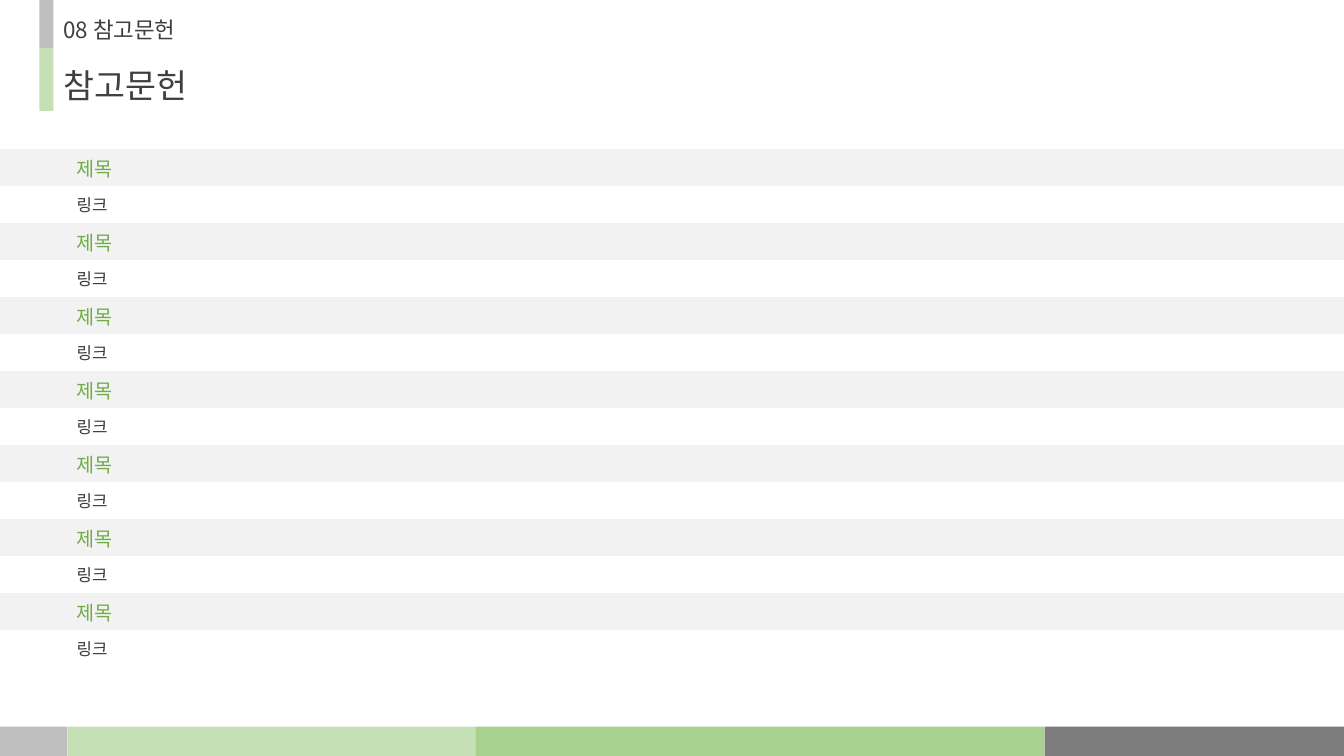
import pptx
import pptx.dml.color
import pptx.enum.shapes
import pptx.enum.text
import pptx.oxml.ns
import pptx.util
from lxml import etree

Inches = pptx.util.Inches
Pt = pptx.util.Pt
RGBColor = pptx.dml.color.RGBColor
MIDDLE = pptx.enum.text.MSO_ANCHOR.MIDDLE
qn = pptx.oxml.ns.qn

PALE_GREEN = RGBColor(0xC5, 0xE0, 0xB4)
MID_GREEN = RGBColor(0xA9, 0xD1, 0x8E)
TITLE_GREEN = RGBColor(0x70, 0xAD, 0x47)
LIGHT_GRAY = RGBColor(0xBF, 0xBF, 0xBF)
DARK_GRAY = RGBColor(0x7C, 0x7C, 0x7C)
BAND_GRAY = RGBColor(0xF2, 0xF2, 0xF2)
HEADING = RGBColor(0x40, 0x40, 0x40)
LINK_TEXT = RGBColor(0x3B, 0x38, 0x38)
FONT = "Noto Sans CJK KR"
NO_GRID_STYLE = "{2D5ABB26-0587-4C30-8999-92F81FD0307C}"
REFERENCE_COUNT = 7


def add_block(slide, left, top, width, height, color):
    block = slide.shapes.add_shape(
        pptx.enum.shapes.MSO_SHAPE.RECTANGLE,
        Inches(left), Inches(top), Inches(width), Inches(height))
    block.shadow.inherit = False
    block.fill.solid()
    block.fill.fore_color.rgb = color
    block.line.fill.background()


def format_runs(paragraph, size, color):
    """Apply the font to Latin and Korean characters alike."""
    paragraph.alignment = pptx.enum.text.PP_ALIGN.LEFT
    for run in paragraph.runs:
        run.font.size = Pt(size)
        run.font.name = FONT
        run.font.color.rgb = color
        east_asian = etree.SubElement(run.font._element, qn("a:ea"))
        east_asian.set("typeface", FONT)


def place_heading(heading, text, left, top, width, height, size):
    heading.left, heading.top = Inches(left), Inches(top)
    heading.width, heading.height = Inches(width), Inches(height)
    frame = heading.text_frame
    frame.text = text
    frame.word_wrap = False
    frame.auto_size = pptx.enum.text.MSO_AUTO_SIZE.NONE
    frame.vertical_anchor = MIDDLE
    format_runs(frame.paragraphs[0], size, HEADING)


def add_header(slide, left, top):
    bar, split = 0.14, 0.48
    add_block(slide, left, top + split, bar, 0.62, PALE_GREEN)
    add_block(slide, left, top, bar, split, LIGHT_GRAY)

    section = slide.shapes.add_textbox(0, 0, 0, 0)
    place_heading(section, "08 참고문헌", left + bar, top + 0.11, 1.41, 0.37, 16)
    place_heading(slide.shapes.title, "참고문헌",
                  left + bar, top + 0.59, 1.49, 0.5, 24)


def add_footer(slide, left, top, height):
    segments = ((0.67, LIGHT_GRAY), (4.05, PALE_GREEN),
                (5.64, MID_GREEN), (2.98, DARK_GRAY))
    for width, color in segments:
        add_block(slide, left, top, width, height, color)
        left += width


def fill_cell(cell, text, size, color, banded):
    cell.vertical_anchor = MIDDLE
    cell.margin_top = cell.margin_bottom = Inches(0.02)
    if banded:
        cell.fill.solid()
        cell.fill.fore_color.rgb = BAND_GRAY
    else:
        cell.fill.background()
    paragraph = cell.text_frame.paragraphs[0]
    if text:
        paragraph.text = text
        format_runs(paragraph, size, color)
    else:
        # An empty cell must not stretch its row with the default size.
        end = etree.SubElement(paragraph._p, qn("a:endParaRPr"))
        end.set("sz", str(size * 100))


def add_references(slide, left, top, width, height):
    """Alternate banded title rows with plain link rows."""
    row_count = 2 * REFERENCE_COUNT
    indent = Inches(0.66)
    frame = slide.shapes.add_table(row_count, 2, Inches(left), Inches(top),
                                   Inches(width), Inches(height))
    table = frame.table
    table.first_row = table.horz_banding = False
    table._tbl.tblPr.find(qn("a:tableStyleId")).text = NO_GRID_STYLE
    table.columns[0].width = indent
    table.columns[1].width = Inches(width) - indent

    styles = (("제목", 14, TITLE_GREEN, True), ("링크", 12, LINK_TEXT, False))
    for index, row in enumerate(table.rows):
        row.height = int(Inches(height) / row_count)
        text, size, color, banded = styles[index % 2]
        fill_cell(row.cells[0], "", size, color, banded)
        fill_cell(row.cells[1], text, size, color, banded)


def main():
    presentation = pptx.Presentation()
    presentation.slide_width = Inches(13.33)
    presentation.slide_height = Inches(7.5)
    slide = presentation.slides.add_slide(
        presentation.slide_layouts.get_by_name("Title Only"))
    add_header(slide, 0.39, 0)
    add_footer(slide, 0, 7.21, 0.3)
    add_references(slide, 0, 1.48, 13.33, 5.14)
    presentation.save("out.pptx")


if __name__ == "__main__":
    main()
